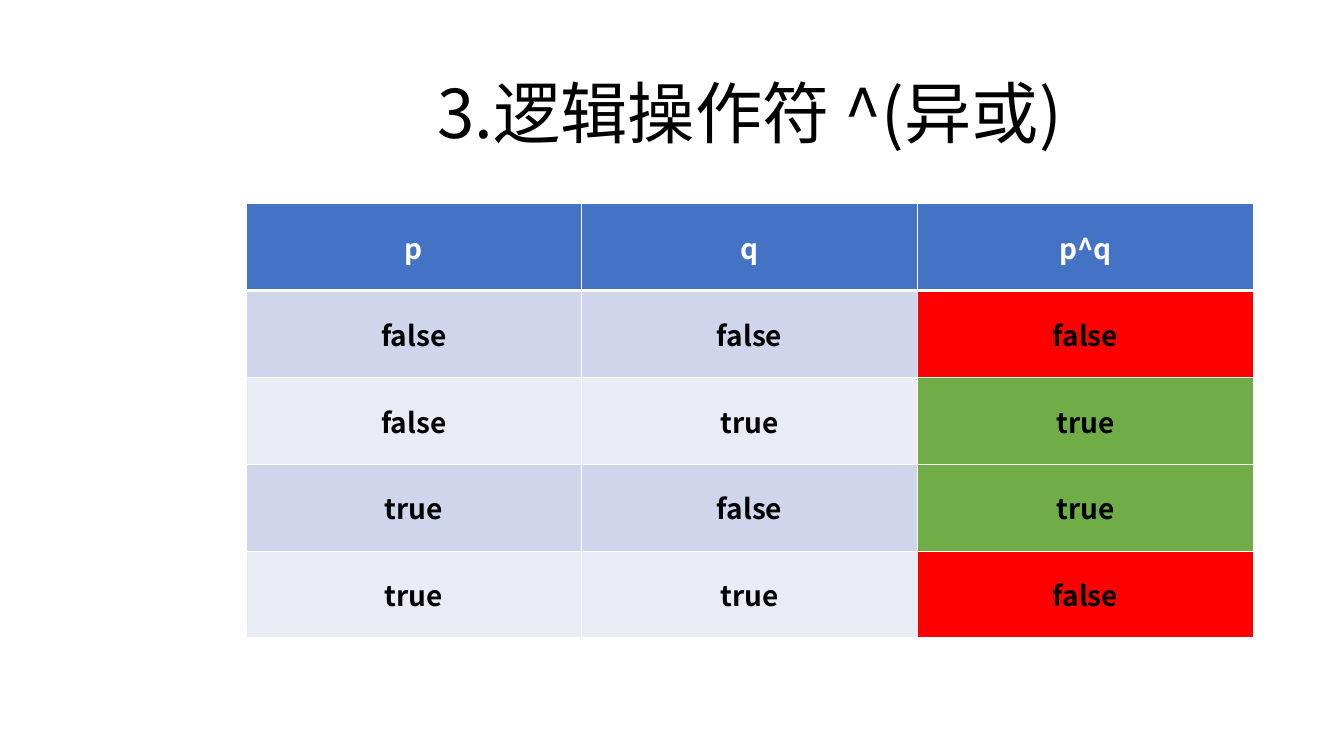
from lxml import etree
from pptx import Presentation
from pptx import util as u
from pptx.dml.color import RGBColor
from pptx.enum import text
from pptx.oxml.ns import qn

TITLE = "3.逻辑操作符 ^(异或)"
HEADER = ("p", "q", "p^q")
INPUTS = [(p, q) for p in (False, True) for q in (False, True)]
ROWS = [HEADER] + [[str(v).lower() for v in (p, q, p ^ q)] for p, q in INPUTS]

FONT = "Noto Sans CJK SC"
BLACK, WHITE, HEAD = "000000", "FFFFFF", "4472C4"
BANDS = ("CFD5EA", "E9EBF5")
RESULTS = {"true": "70AD47", "false": "FF0000"}

SLIDE_W, SLIDE_H = 13.33, 7.5
LEFT, WIDTH = 2.44, 9.99
TITLE_TOP, TITLE_H = 0.65, 0.91
TABLE_TOP, TABLE_H = 2.02, 4.31


def rgb(value):
    return RGBColor.from_string(value)


def box(*lengths):
    return [u.Inches(n) for n in lengths]


def write(tf, words, color, **formats):
    tf.text = words
    p = tf.paragraphs[0]
    p.alignment = text.PP_ALIGN.CENTER
    r = p.runs[0]
    for name, value in dict(name=FONT, **formats).items():
        setattr(r.font, name, value)
    r.font.color.rgb = rgb(color)
    etree.SubElement(r.font._element, qn("a:ea"), typeface=FONT)


def add_border(cell, edge, points):
    ln = etree.Element(qn(f"a:ln{edge}"), w=str(u.Pt(points)))
    fill = etree.SubElement(ln, qn("a:solidFill"))
    etree.SubElement(fill, qn("a:srgbClr"), val=WHITE)
    return ln


def cell_fill(row, col, words):
    if row == 0:
        return HEAD
    if col == len(HEADER) - 1:
        return RESULTS[words]
    return BANDS[(row - 1) % 2]


prs = Presentation()
prs.slide_width, prs.slide_height = box(SLIDE_W, SLIDE_H)
slide = prs.slides.add_slide(prs.slide_layouts[5])

title = slide.shapes.title
title.left, title.top, title.width, title.height = box(LEFT, TITLE_TOP, WIDTH, TITLE_H)
tf = title.text_frame
tf.word_wrap = True
tf.auto_size = text.MSO_AUTO_SIZE.NONE
tf.vertical_anchor = text.MSO_ANCHOR.MIDDLE
write(tf, TITLE, BLACK, size=u.Pt(48))

table = slide.shapes.add_table(
    len(ROWS), len(HEADER), *box(LEFT, TABLE_TOP, WIDTH, TABLE_H)).table
for i, row in enumerate(ROWS):
    for j, words in enumerate(row):
        cell = table.cell(i, j)
        cell.vertical_anchor = text.MSO_ANCHOR.MIDDLE
        write(cell.text_frame, words, BLACK if i else WHITE, size=u.Pt(20), bold=True)
        cell.fill.solid()
        cell.fill.fore_color.rgb = rgb(cell_fill(i, j, words))
        widths = {"L": 1, "R": 1, "T": 3 if i == 1 else 1, "B": 1 if i else 3}
        for k, (edge, points) in enumerate(widths.items()):
            cell._tc.tcPr.insert(k, add_border(cell, edge, points))

prs.save("out.pptx")
